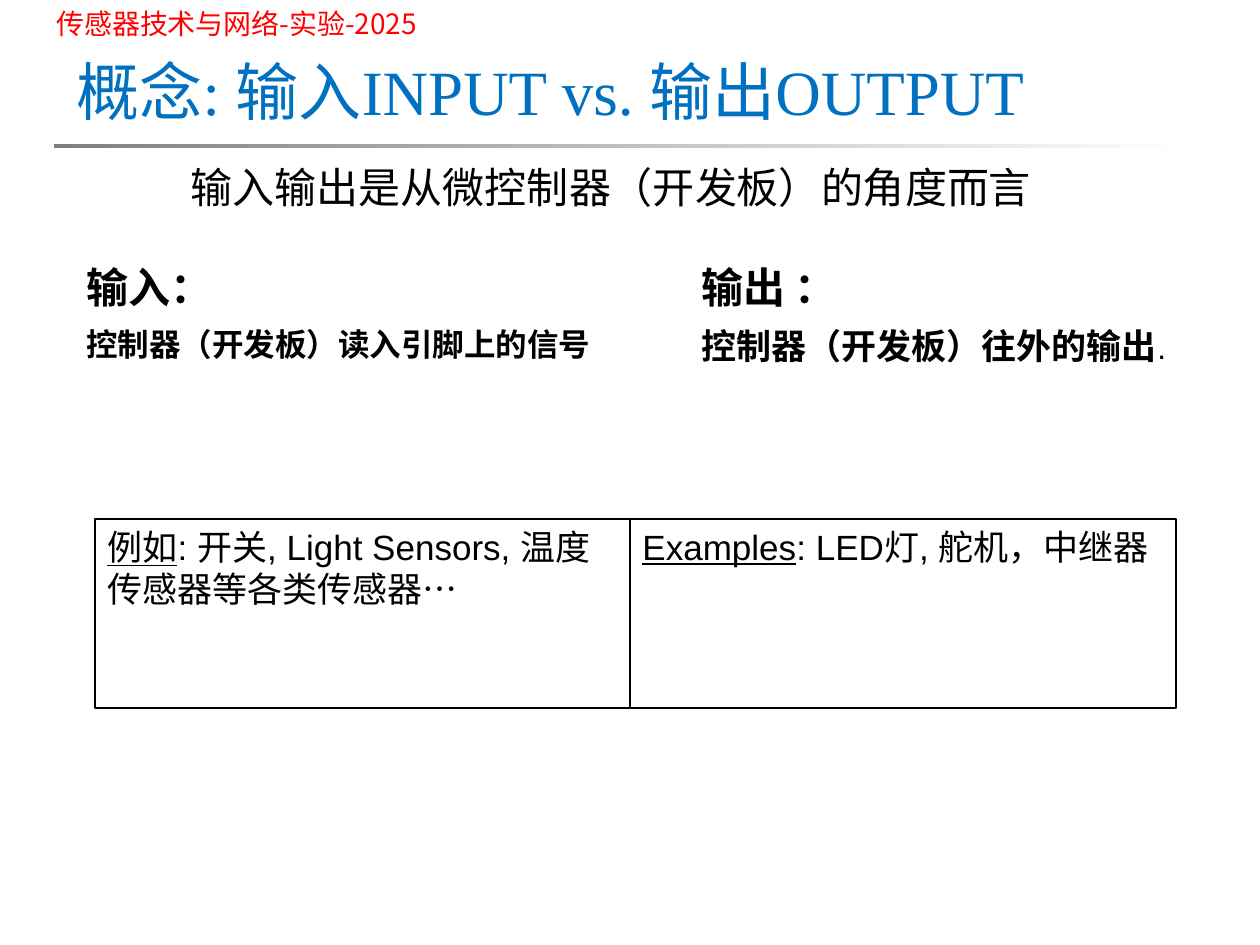
from lxml import etree
from pptx import Presentation
from pptx.dml.color import RGBColor
from pptx.enum.shapes import MSO_SHAPE as SHAPE
from pptx.enum.text import MSO_ANCHOR as ANCHOR, MSO_AUTO_SIZE as AUTO, PP_ALIGN as ALIGN
from pptx.oxml.ns import qn
from pptx.util import Pt

EMU_PER_PX = 914400 / 126
CJK = "Noto Sans CJK SC"


def px(n):
    return round(n * EMU_PER_PX)


def rgb(value):
    return RGBColor.from_string(value)


class Deck:
    black = "000000"
    font = "Arial"

    def __init__(self, width, height):
        self.prs = Presentation()
        self.prs.slide_width, self.prs.slide_height = px(width), px(height)
        self.s = self.prs.slides.add_slide(self.prs.slide_layouts[5])

    def paragraph(self, p, runs, size, color=black, font=font, bold=False,
                  align=ALIGN.LEFT, before=0):
        p.alignment, p.space_before = align, Pt(before)
        f = p.font
        f.name, f.size, f.bold = font, Pt(size), bold
        f.color.rgb = rgb(color)
        latin = p._p.pPr.find(qn("a:defRPr")).find(qn("a:latin"))
        ea = etree.Element(qn("a:ea"), typeface=CJK)
        latin.addnext(ea)
        for text, style in runs:
            r = p.add_run()
            r.text = text
            for key, value in style.items():
                setattr(r.font, key, value)

    def frame(self, sp, anchor=ANCHOR.TOP):
        tf = sp.text_frame
        tf.word_wrap, tf.auto_size, tf.vertical_anchor = True, AUTO.NONE, anchor
        return tf

    def title(self, x, y, w, h, text, **style):
        sp = self.s.shapes.title
        sp.left, sp.top, sp.width, sp.height = map(px, (x, y, w, h))
        tf = self.frame(sp, ANCHOR.MIDDLE)
        self.paragraph(tf.paragraphs[0], [(text, {})], **style)

    def text(self, x, y, w, h, *paragraphs):
        sp = self.s.shapes.add_textbox(*map(px, (x, y, w, h)))
        tf = self.frame(sp)
        for i, (runs, style) in enumerate(paragraphs):
            p = tf.add_paragraph() if i else tf.paragraphs[0]
            self.paragraph(p, runs, **style)

    def rect(self, x, y, w, h):
        sp = self.s.shapes.add_shape(SHAPE.RECTANGLE, *map(px, (x, y, w, h)))
        sp.shadow.inherit = False
        return sp

    def rule(self, x, y, w, h, start, end):
        sp = self.rect(x, y, w, h)
        sp.line.fill.background()
        sp.fill.gradient()
        sp.fill.gradient_angle = 180
        for stop, color in zip(sp.fill.gradient_stops, (start, end)):
            stop.color.rgb = rgb(color)

    def example(self, x, y, w, h, label, text):
        sp = self.rect(x, y, w, h)
        sp.fill.background()
        sp.line.color.rgb = rgb(self.black)
        sp.line.width = Pt(0.75)
        runs = [(label, {"underline": True}), (text, {})]
        self.paragraph(self.frame(sp).paragraphs[0], runs, size=20)


def main():
    deck = Deck(1260, 945)
    deck.text(44, 0, 556, 47, ([("传感器技术与网络-实验-2025", {})],
                               dict(size=16, color="FF0000", font=CJK)))
    deck.rule(54, 144, 1134, 4, "FFFFFF", "808080")
    deck.title(64, 45, 1134, 91, "概念: 输入INPUT vs. 输出OUTPUT",
               size=36, color="0070C0", font="Times New Roman")
    deck.text(44, 155, 1134, 725, ([("输入输出是从微控制器（开发板）的角度而言", {})],
                                   dict(size=24, align=ALIGN.CENTER)))
    full_stop = (".", {"size": Pt(18), "bold": False})
    columns = [
        (74, 536, "输入：", [("控制器（开发板）读入引脚上的信号", {})], 18),
        (689, 605, "输出 ：", [("控制器（开发板）往外的输出", {}), full_stop], 20),
    ]
    for x, w, heading, runs, size in columns:
        deck.text(x, 255, w, 189,
                  ([(heading, {})], dict(size=24, bold=True)),
                  (runs, dict(size=size, bold=True, before=7.5)))
    deck.example(95, 519, 535, 189, "例如", ": 开关, Light Sensors, 温度传感器等各类传感器…")
    deck.example(630, 519, 546, 189, "Examples", ": LED灯, 舵机，中继器")
    deck.prs.save("out.pptx")


if __name__ == "__main__":
    main()
